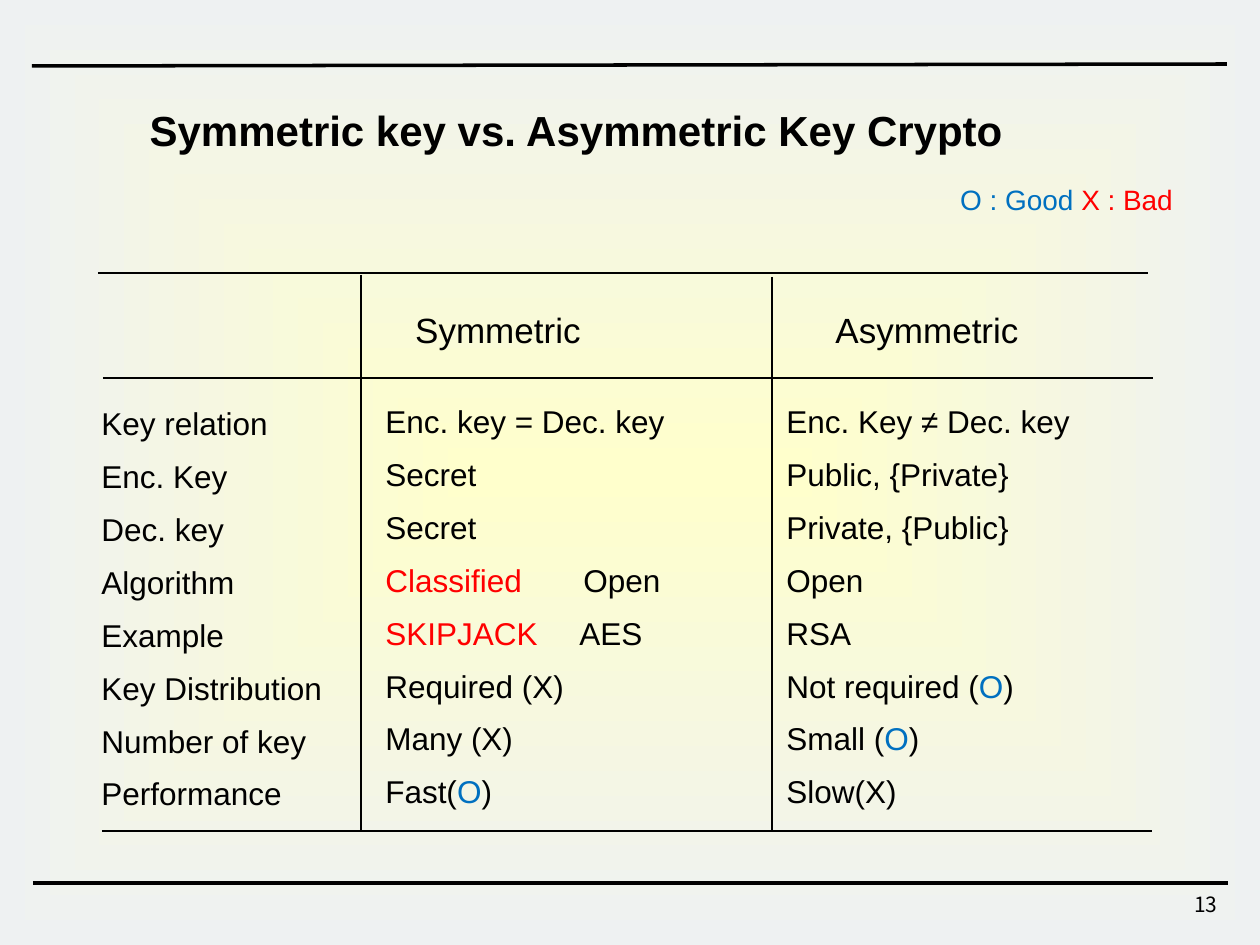
"""Build a slide comparing symmetric and asymmetric key cryptography."""
from lxml import etree
from pptx import Presentation
from pptx import util as u
from pptx.dml.color import RGBColor
from pptx.enum import shapes, text
from pptx.oxml import parse_xml
from pptx.oxml.ns import nsdecls, qn

BLACK = RGBColor(0, 0, 0)
RED = RGBColor(0xFF, 0, 0)
BLUE = RGBColor(0, 0x70, 0xC0)
PX = 914400 / 126
LEFT, CENTER, RIGHT = text.PP_ALIGN.LEFT, text.PP_ALIGN.CENTER, text.PP_ALIGN.RIGHT

prs = Presentation()
prs.slide_width, prs.slide_height = u.Inches(10), u.Inches(7.5)
slide = prs.slides.add_slide(prs.slide_layouts[5])


def write(box, place, lines, size, align=LEFT, wrap=False, spacing=None,
          bold=False, font="Arial", tabs=None):
    """Place a box and fill it with lines made of strings or (string, colour) runs."""
    box.left, box.top, box.width, box.height = [round(v * PX) for v in place]
    frame = box.text_frame
    frame.word_wrap = wrap
    frame.auto_size = text.MSO_AUTO_SIZE.SHAPE_TO_FIT_TEXT
    frame.vertical_anchor = text.MSO_ANCHOR.TOP
    for i, line in enumerate(lines):
        para = frame.add_paragraph() if i else frame.paragraphs[0]
        para.alignment = align
        if spacing:
            para.line_spacing = spacing
        if tabs and i in tabs:
            tab_list = etree.SubElement(para._p.get_or_add_pPr(), qn("a:tabLst"))
            etree.SubElement(tab_list, qn("a:tab"), pos=str(round(tabs[i] * PX)), algn="l")
        for words, color in [(line, BLACK)] if isinstance(line, str) else line:
            run = para.add_run()
            run.text = words
            run.font.name, run.font.size, run.font.bold = font, u.Pt(size), bold
            run.font.color.rgb = color


def rule(x1, y1, x2, y2, weight):
    """Draw a black straight line."""
    line = slide.shapes.add_connector(
        shapes.MSO_CONNECTOR.STRAIGHT, *[round(v * PX) for v in (x1, y1, x2, y2)])
    line.line.color.rgb = BLACK
    line.line.width = u.Pt(weight)
    etree.SubElement(line._element.spPr, qn("a:effectLst"))


backdrop = slide.shapes.add_shape(
    shapes.MSO_SHAPE.RECTANGLE, 0, 0, prs.slide_width, prs.slide_height)
backdrop.line.fill.background()
backdrop.shadow.inherit = False
backdrop._element.spPr.find(qn("a:prstGeom")).addnext(parse_xml(
    f'<a:gradFill {nsdecls("a")} rotWithShape="1"><a:gsLst>'
    '<a:gs pos="0"><a:srgbClr val="FFFFCC"/></a:gs>'
    '<a:gs pos="100000"><a:srgbClr val="EEF1F2"/></a:gs></a:gsLst>'
    '<a:path path="shape"><a:fillToRect l="50000" t="50000" r="50000" b="50000"/></a:path>'
    '</a:gradFill>'))
slide.shapes._spTree.insert(2, backdrop._element)

rule(32, 66, 1227, 64, 2)
rule(33, 883, 1228, 883, 2)

write(slide.shapes.title, (137, 98, 881, 63),
      ["Symmetric key vs. Asymmetric Key Crypto"], 24, bold=True)
write(slide.shapes.add_textbox(0, 0, 0, 0), (968, 885, 262, 42), ["13"], 12,
      align=RIGHT, wrap=True, font="Noto Sans CJK KR")
write(slide.shapes.add_textbox(0, 0, 0, 0), (873, 176, 387, 47),
      [[("O : Good ", BLUE), ("X : Bad", RED)]], 16, align=CENTER, wrap=True)

for heading, left, width in [("Symmetric", 398, 200), ("Asymmetric", 818, 218)]:
    write(slide.shapes.add_textbox(0, 0, 0, 0), (left, 302, width, 54),
          [heading], 20, align=CENTER)

good = ("O", BLUE)
close = (")", BLACK)
criteria = ["Key relation", "Enc. Key", "Dec. key", "Algorithm", "Example",
            "Key Distribution", "Number of key", "Performance"]
symmetric = ["Enc. key = Dec. key", "Secret", "Secret",
             [("Classified", RED), ("\tOpen", BLACK)],
             [("SKIPJACK", RED), ("\tAES", BLACK)],
             "Required (X)", "Many (X)", [("Fast(", BLACK), good, close]]
asymmetric = ["Enc. Key ≠ Dec. key", "Public, {Private}", "Private, {Public}",
              "Open", "RSA", [("Not required (", BLACK), good, close],
              [("Small (", BLACK), good, close], "Slow(X)"]
columns = [(criteria, 89, 383, 257, None),
           (symmetric, 373, 381, 315, {3: 198, 4: 194}),
           (asymmetric, 774, 381, 309, None)]
for lines, left, top, width, tabs in columns:
    write(slide.shapes.add_textbox(0, 0, 0, 0), (left, top, width, 440),
          lines, 18, spacing=1.4, tabs=tabs)

for left, y in [(98, 273), (103, 378), (102, 831)]:
    rule(left, y, left + 1050, y, 1)
for x, top in [(361, 275), (772, 277)]:
    rule(x, top, x, 832, 1)

prs.save("out.pptx")
